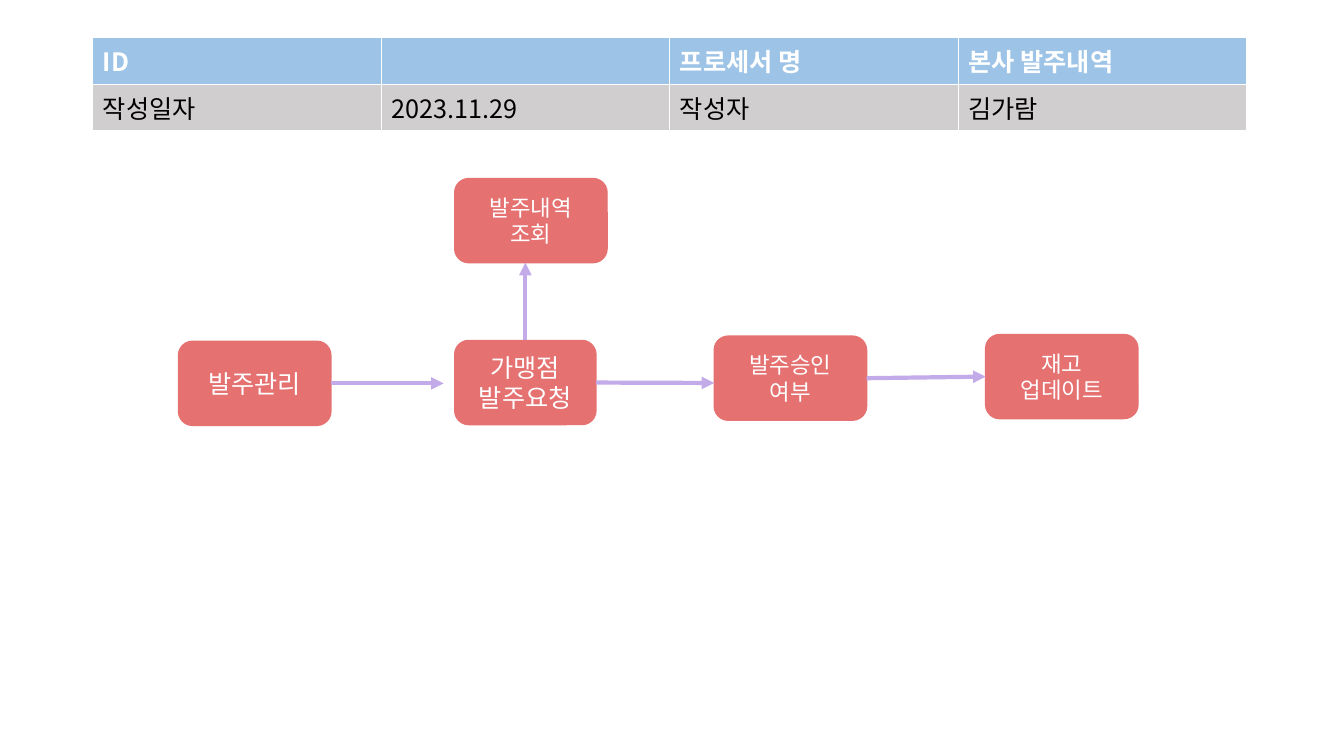
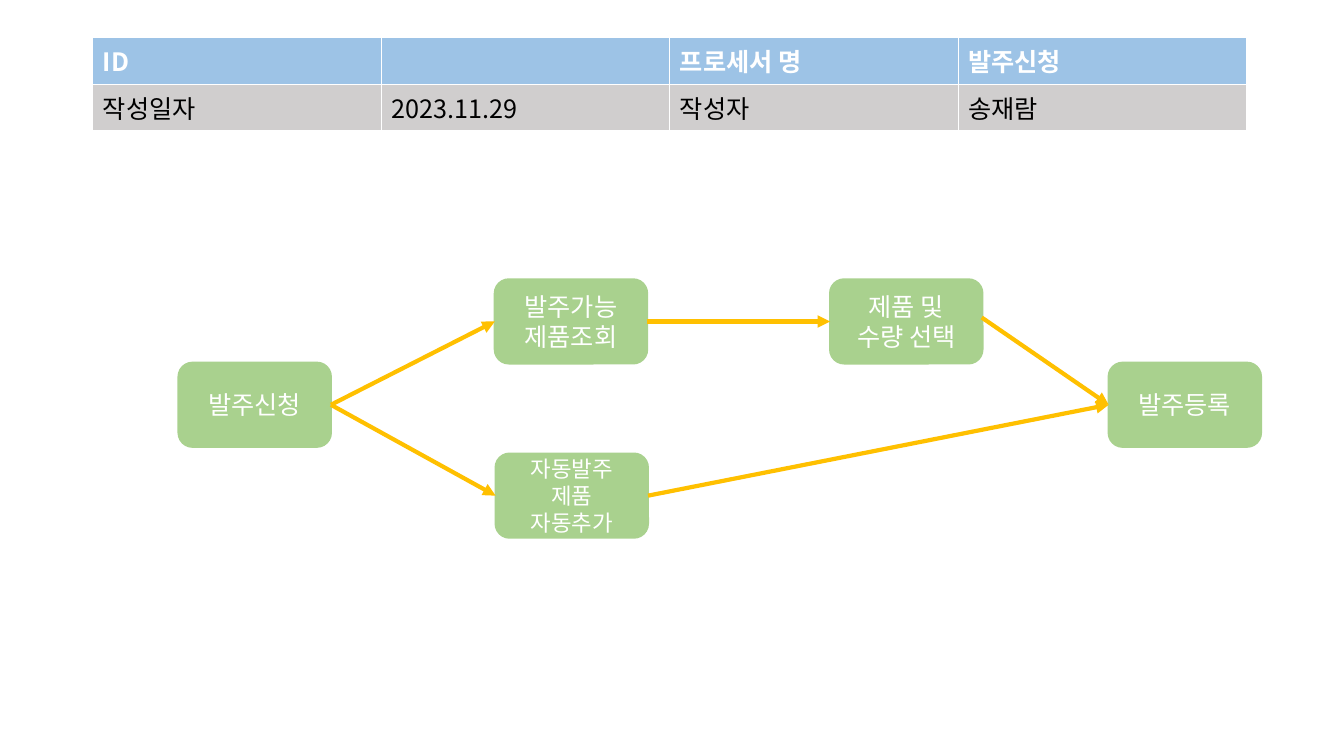
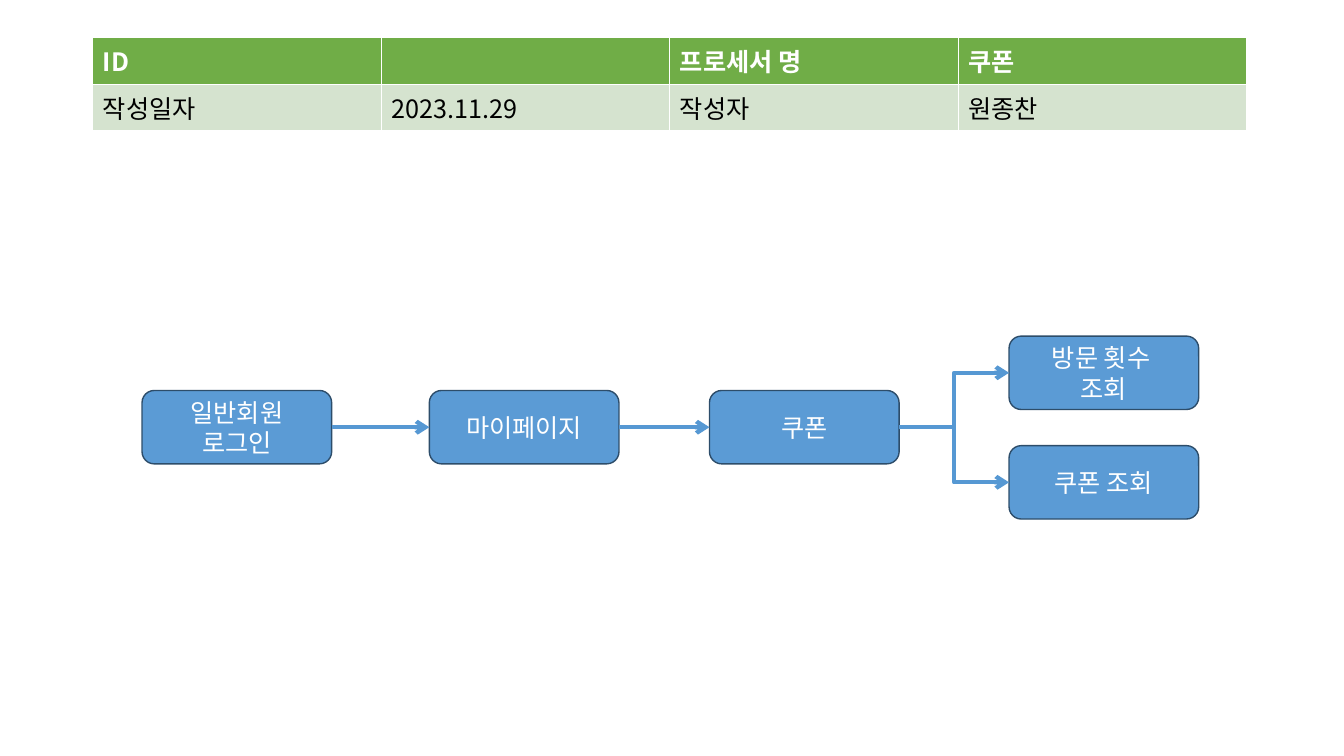
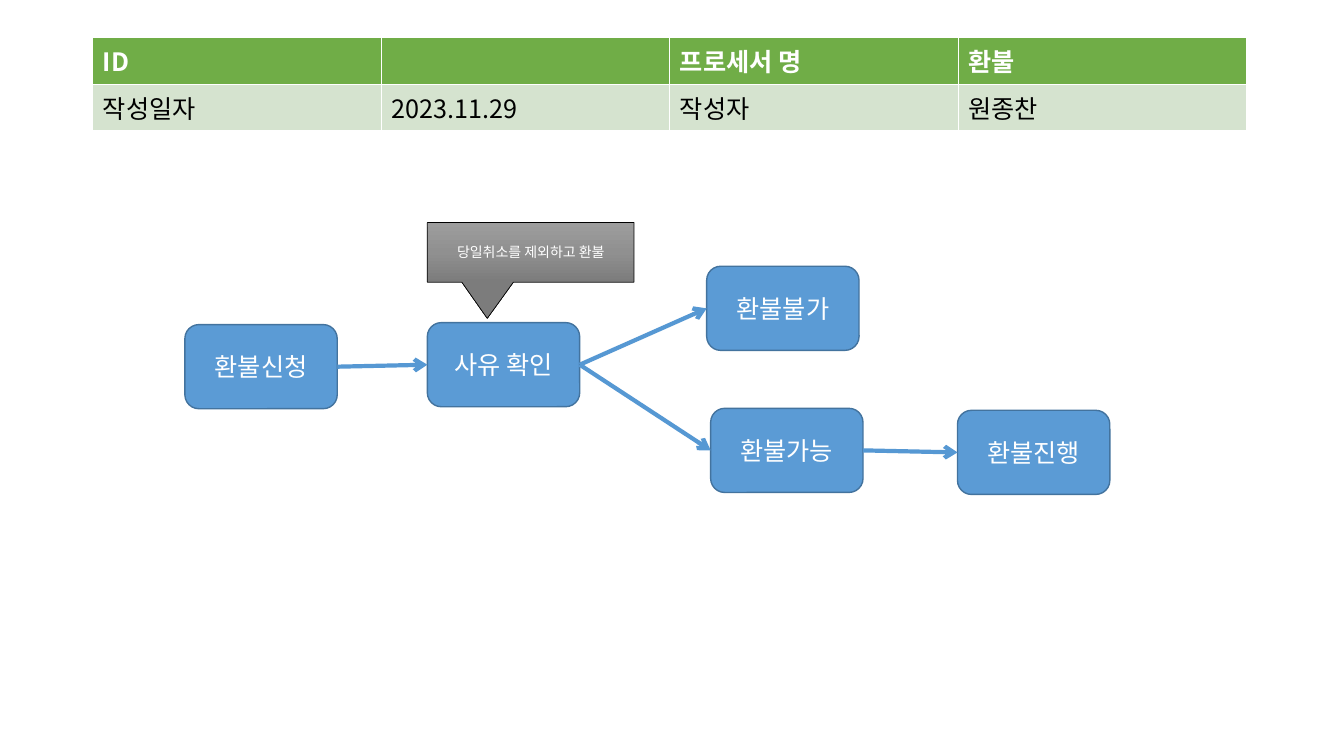
"""Build four process-flow slides, each with a header table and a flow chart."""
import copy

import pptx
import pptx.dml.color
import pptx.enum.shapes
import pptx.enum.text
import pptx.oxml
import pptx.oxml.ns
import pptx.util
from pptx.util import Cm

FONT = "Noto Sans CJK KR"
WHITE = "FFFFFF"
BLACK = "000000"
BLUE_HEADER = {"header": "9DC3E6", "body": "D0CECE"}
GREEN_HEADER = {"header": "70AD47", "body": "D5E3CF"}
TOP, LEFT, BOTTOM, RIGHT = range(4)


def color(hex_value):
    return pptx.dml.color.RGBColor.from_string(hex_value)


def write_lines(frame, text, size, ink, bold=False, align=None):
    for index, line in enumerate(text.split("\n")):
        paragraph = frame.paragraphs[0] if index == 0 else frame.add_paragraph()
        paragraph.alignment = align
        run = paragraph.add_run()
        run.text = line
        run.font.size = pptx.util.Pt(size)
        run.font.bold = bold
        run.font.color.rgb = color(ink)
        run.font.name = FONT
        east_asian = pptx.oxml.parse_xml(
            f'<a:ea {pptx.oxml.ns.nsdecls("a")} typeface="{FONT}"/>')
        run.font._element.find(pptx.oxml.ns.qn("a:latin")).addnext(east_asian)


processes = [
    {
        "name": "본사 발주내역", "author": "김가람", "table": BLUE_HEADER,
        "fill": "E57171", "outline": "E57171", "outline_width": 1,
        "arrow": "C3AAE8", "head": "triangle", "height": 2.12,
        "steps": {
            "manage": ("발주관리", 18, 4.5, 8.6, 3.84),
            "request": ("가맹점\n발주요청", 18, 11.46, 8.58, 3.56),
            "history": ("발주내역\n조회", 16, 11.46, 4.5, 3.84),
            "approval": ("발주승인\n여부", 16, 18, 8.47, 3.84),
            "stock": ("재고\n업데이트", 16, 24.84, 8.43, 3.84),
        },
        "flows": [
            (("manage", RIGHT), (11.18, 9.66)),
            (("request", RIGHT), (18, 9.65)),
            (("approval", RIGHT), ("stock", LEFT)),
            (("request", TOP), (13.24, 6.62)),
        ],
    },
    {
        "name": "발주신청", "author": "송재람", "table": BLUE_HEADER,
        "fill": "A9D18E", "outline": "A9D18E", "outline_width": 1.5,
        "arrow": "FFC000", "head": "triangle", "height": 2.12,
        "steps": {
            "apply": ("발주신청", 18, 4.5, 9.14, 3.84),
            "choose": ("제품 및 수량 선택", 18, 20.92, 7.04, 3.84),
            "auto": ("자동발주\n제품 자동추가", 16, 12.49, 11.43, 3.84),
            "available": ("발주가능 제품조회", 18, 12.47, 7.04, 3.84),
            "register": ("발주등록", 18, 27.94, 9.14, 3.84),
        },
        "flows": [
            (("available", RIGHT), ("choose", LEFT)),
            (("apply", RIGHT), ("auto", LEFT)),
            (("apply", RIGHT), ("available", LEFT)),
            (("auto", RIGHT), ("register", LEFT)),
            ((24.74, 8), ("register", LEFT)),
        ],
    },
    {
        "name": "쿠폰", "author": "원종찬", "table": GREEN_HEADER,
        "fill": "5B9BD5", "outline": "2D4D6A", "outline_width": 1,
        "arrow": "5698D3", "head": "arrow", "height": 1.85,
        "steps": {
            "login": ("일반회원\n로그인", 18, 3.58, 9.84, 4.78),
            "my_page": ("마이페이지", 18, 10.82, 9.84, 4.78),
            "coupon": ("쿠폰", 18, 17.88, 9.84, 4.78),
            "visits": ("방문 횟수 \n조회", 18, 25.43, 8.47, 4.78),
            "coupon_list": ("쿠폰 조회", 18, 25.43, 11.23, 4.78),
        },
        "flows": [
            (("login", RIGHT), ("my_page", LEFT)),
            (("my_page", RIGHT), ("coupon", LEFT)),
            (("coupon", RIGHT), ("visits", LEFT), "ELBOW"),
            (("coupon", RIGHT), ("coupon_list", LEFT), "ELBOW"),
        ],
    },
    {
        "name": "환불", "author": "원종찬", "table": GREEN_HEADER,
        "fill": "5B9BD5", "outline": "43739E", "outline_width": 1,
        "arrow": "5698D3", "head": "arrow", "height": 2.12,
        "steps": {
            "apply": ("환불신청", 18, 4.66, 8.18, 3.84),
            "refused": ("환불불가", 18, 17.81, 6.71, 3.84),
            "reason": ("사유 확인", 18, 10.77, 8.13, 3.84),
            "refund": ("환불진행", 18, 24.13, 10.34, 3.84),
            "allowed": ("환불가능", 18, 17.91, 10.29, 3.84),
        },
        "flows": [
            (("apply", RIGHT), ("reason", LEFT)),
            (("reason", RIGHT), ("refused", LEFT)),
            (("reason", RIGHT), ("allowed", LEFT)),
            (("allowed", RIGHT), ("refund", LEFT)),
        ],
    },
]

deck = pptx.Presentation()
deck.slide_width = Cm(33.87)
deck.slide_height = Cm(19.05)
shape_kinds = pptx.enum.shapes.MSO_SHAPE
centered = pptx.enum.text.PP_ALIGN.CENTER
middle = pptx.enum.text.MSO_ANCHOR.MIDDLE

for process in processes:
    slide = deck.slides.add_slide(deck.slide_layouts[6])

    summary = slide.shapes.add_table(2, 4, Cm(2.34), Cm(0.95), Cm(29.08), Cm(2.13)).table
    summary.rows[0].height = Cm(1.08)
    summary.rows[1].height = Cm(1.05)
    rows = [
        ("ID", "", "프로세서 명", process["name"]),
        ("작성일자", "2023.11.29", "작성자", process["author"]),
    ]
    row_styles = [(process["table"]["header"], WHITE, True),
                  (process["table"]["body"], BLACK, False)]
    for row, (texts, (background, ink, bold)) in enumerate(zip(rows, row_styles)):
        for column, text in enumerate(texts):
            cell = summary.cell(row, column)
            cell.fill.solid()
            cell.fill.fore_color.rgb = color(background)
            if text:
                write_lines(cell.text_frame, text, 18, ink, bold)

    steps = {}
    for key, (text, size, left, top, width) in process["steps"].items():
        step = slide.shapes.add_shape(
            shape_kinds.ROUNDED_RECTANGLE,
            Cm(left), Cm(top), Cm(width), Cm(process["height"]))
        step.shadow.inherit = False
        step.fill.solid()
        step.fill.fore_color.rgb = color(process["fill"])
        step.line.color.rgb = color(process["outline"])
        step.line.width = pptx.util.Pt(process["outline_width"])
        step.text_frame.word_wrap = True
        step.text_frame.vertical_anchor = middle
        write_lines(step.text_frame, text, size, WHITE, align=centered)
        steps[key] = step

    for start, end, *route in process["flows"]:
        kind = pptx.enum.shapes.MSO_CONNECTOR[route[0] if route else "STRAIGHT"]
        points = [(0, 0) if point[0] in steps else point for point in (start, end)]
        flow = slide.shapes.add_connector(
            kind, *[Cm(length) for point in points for length in point])
        if start[0] in steps:
            flow.begin_connect(steps[start[0]], start[1])
        if end[0] in steps:
            flow.end_connect(steps[end[0]], end[1])
        flow.line.color.rgb = color(process["arrow"])
        flow.line.width = pptx.util.Pt(3)
        properties = flow._element.spPr
        outline = properties.find(pptx.oxml.ns.qn("a:ln"))
        outline.append(pptx.oxml.parse_xml(
            f'<a:tailEnd {pptx.oxml.ns.nsdecls("a")} type="{process["head"]}"/>'))
        properties.append(pptx.oxml.parse_xml(
            f'<a:effectLst {pptx.oxml.ns.nsdecls("a")}/>'))

refund_note = slide.shapes.add_shape(
    shape_kinds.RECTANGULAR_CALLOUT, Cm(10.77), Cm(5.61), Cm(5.21), Cm(1.5))
refund_note.shadow.inherit = False
refund_note.adjustments[0] = -0.21
refund_note.adjustments[1] = 1.11
refund_note.fill.gradient()
refund_note.fill.gradient_angle = 270
stop_list = refund_note._element.spPr.find(".//" + pptx.oxml.ns.qn("a:gsLst"))
stop_list.insert(1, copy.deepcopy(stop_list[0]))
grays = [(0, "9D9D9D"), (0.5, "909090"), (1, "7C7C7C")]
for stop, (position, gray) in zip(refund_note.fill.gradient_stops, grays):
    stop.position = position
    stop.color.rgb = color(gray)
refund_note.line.color.rgb = color(BLACK)
refund_note.line.width = pptx.util.Pt(0.5)
refund_note.text_frame.word_wrap = True
refund_note.text_frame.vertical_anchor = middle
write_lines(refund_note.text_frame, "당일취소를 제외하고 환불", 10, WHITE, align=centered)

deck.save("out.pptx")
